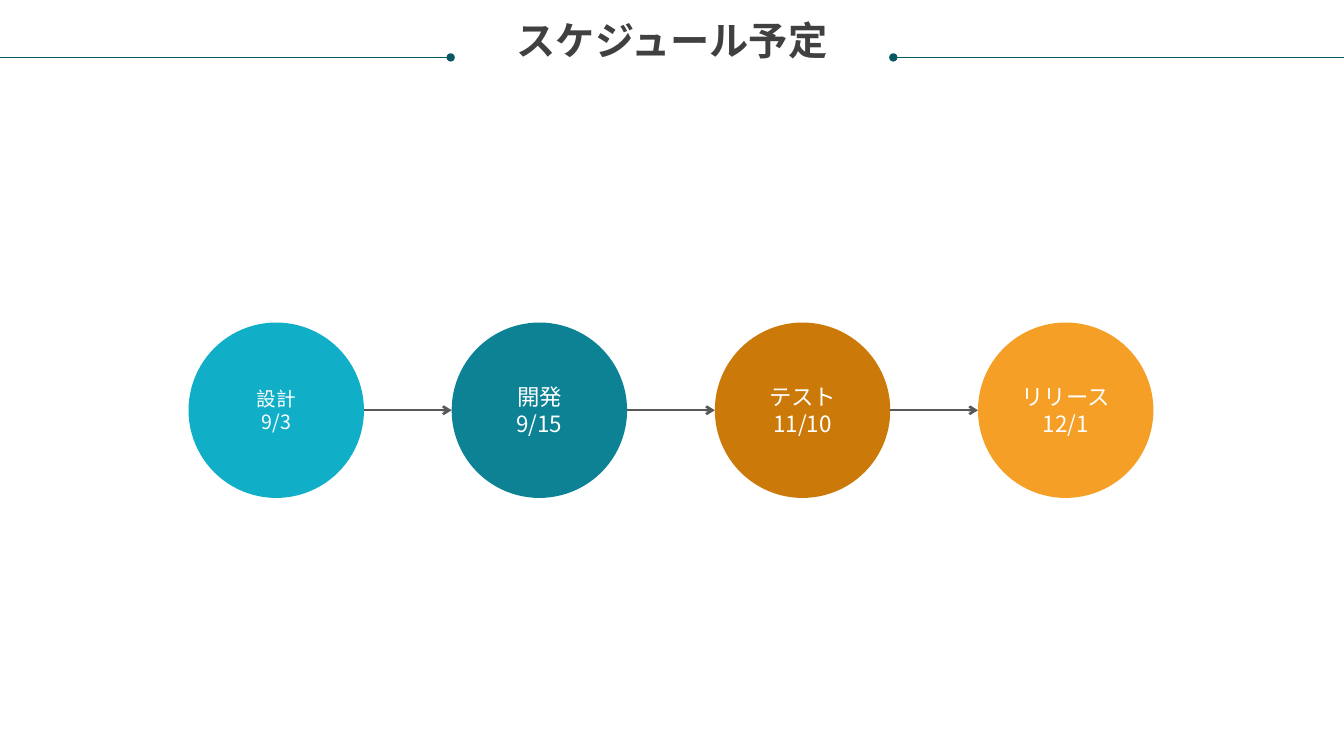
from lxml.etree import SubElement
from pptx import Presentation
from pptx.dml.color import RGBColor
from pptx.enum.shapes import MSO_CONNECTOR as Connector, MSO_SHAPE as Shape
from pptx.enum.text import MSO_ANCHOR as Anchor, PP_ALIGN as Align
from pptx.oxml.ns import qn
from pptx.util import Inches, Pt

TITLE = "スケジュール予定"
# name, date, circle colour, text size
MILESTONES = [
    ("設計", "9/3", "cyan", 14),
    ("開発", "9/15", "teal", 16),
    ("テスト", "11/10", "brown", 16),
    ("リリース", "12/1", "orange", 16),
]
COLORS = {
    "cyan": "11AEC7", "teal": "0D8295", "brown": "CB7A09", "orange": "F59F26",
    "rule": "085764", "arrow": "585858", "title": "404040", "label": "FFFFFF",
}
FONT = "Noto Sans CJK JP"
WIDTH, HEIGHT = 13.33, 7.5
RULE_Y, RULE_LENGTH = 0.57, 4.47
DIAMETER, PITCH = 1.74, 2.61
FIRST_LEFT, MIDDLE_Y = 1.87, 4.07


def color(name):
    return RGBColor.from_string(COLORS[name])


def write(shape, lines, anchor, size, color_name, bold=False, spacing=1.0):
    """Fill a shape with centred paragraphs, without insets."""
    frame = shape.text_frame
    frame.text = "\n".join(lines)
    settings = dict(word_wrap=True, vertical_anchor=anchor, margin_left=0,
                    margin_right=0, margin_top=0, margin_bottom=0)
    for name, value in settings.items():
        setattr(frame, name, value)
    for paragraph in frame.paragraphs:
        paragraph.alignment = Align.CENTER
        paragraph.line_spacing = spacing
        for run in paragraph.runs:
            for name, value in dict(name=FONT, size=Pt(size), bold=bold).items():
                setattr(run.font, name, value)
            run.font.color.rgb = color(color_name)
            SubElement(run.font._element, qn("a:ea"), typeface=FONT)


def add_line(slide, start, end, y, color_name, width, tip):
    """Draw a level line with a tip at its end."""
    line = slide.shapes.add_connector(
        Connector.STRAIGHT, Inches(start), Inches(y), Inches(end), Inches(y))
    line.line.color.rgb = color(color_name)
    line.line.width = Pt(width)
    SubElement(line.line._get_or_add_ln(), qn("a:tailEnd"), type=tip)
    SubElement(line._element.spPr, qn("a:effectLst"))


def add_title(slide):
    title = slide.shapes.title
    box = dict(left=0.25, top=0.21, width=WIDTH - 0.5, height=0.85)
    for name, value in box.items():
        setattr(title, name, Inches(value))
    write(title, [TITLE], Anchor.TOP, 28, "title", bold=True, spacing=0.9)
    for start, end in [(0, RULE_LENGTH), (WIDTH, WIDTH - RULE_LENGTH)]:
        add_line(slide, start, end, RULE_Y, "rule", 0.5, "oval")


def add_timeline(slide):
    for index, (name, date, fill, size) in enumerate(MILESTONES):
        left = FIRST_LEFT + index * PITCH
        circle = slide.shapes.add_shape(
            Shape.OVAL, Inches(left), Inches(MIDDLE_Y - DIAMETER / 2),
            Inches(DIAMETER), Inches(DIAMETER))
        circle.shadow.inherit = False
        circle.fill.solid()
        circle.fill.fore_color.rgb = color(fill)
        circle.line.fill.background()
        write(circle, [name, date], Anchor.MIDDLE, size, "label")
        if index:
            add_line(slide, left - PITCH + DIAMETER, left, MIDDLE_Y,
                     "arrow", 1.75, "arrow")


def main():
    presentation = Presentation()
    presentation.slide_width = Inches(WIDTH)
    presentation.slide_height = Inches(HEIGHT)
    slide = presentation.slides.add_slide(
        presentation.slide_layouts.get_by_name("Title Only"))
    add_title(slide)
    add_timeline(slide)
    presentation.save("out.pptx")


if __name__ == "__main__":
    main()
